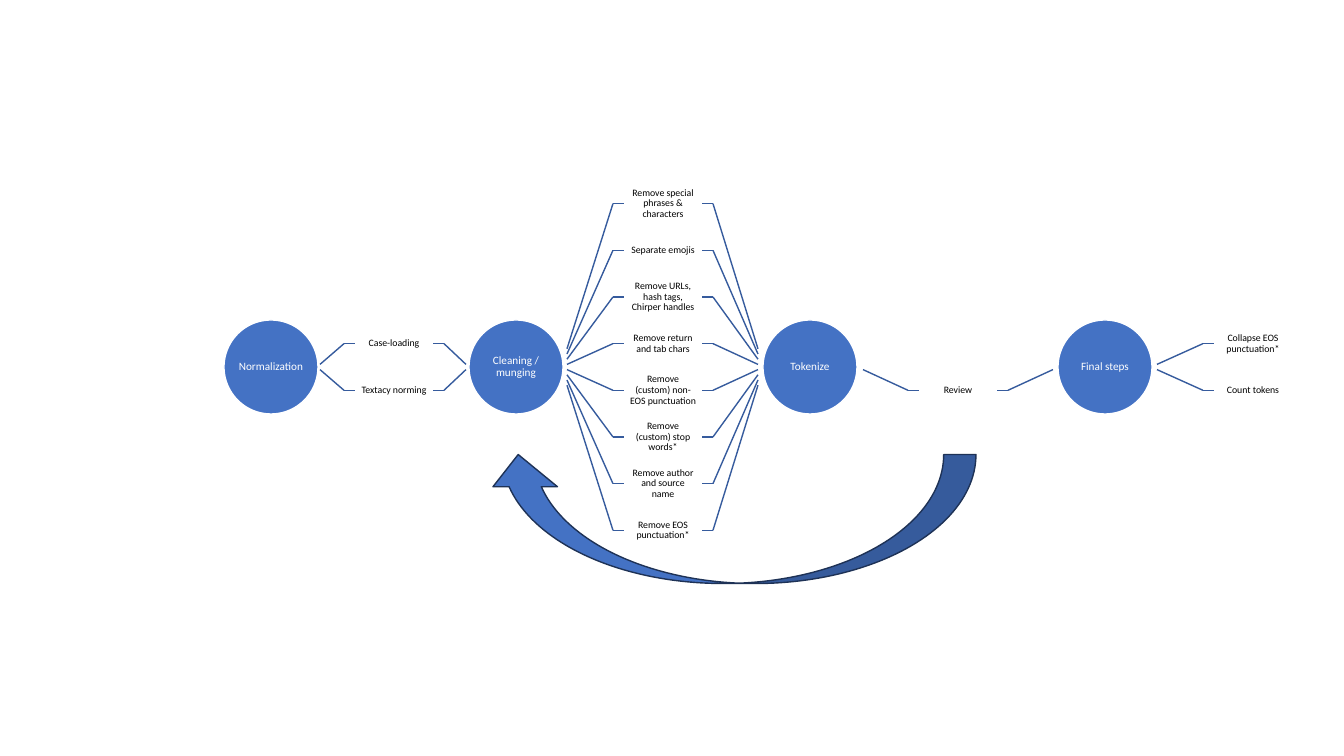
from pptx import Presentation
from pptx.dml.color import RGBColor
from pptx.enum.shapes import MSO_CONNECTOR, MSO_SHAPE
from pptx.enum.text import MSO_ANCHOR, PP_ALIGN
from pptx.oxml.ns import qn
from pptx.util import Pt
from lxml import etree

SCALE = 914400 / 100.8
STRAIGHT = MSO_CONNECTOR.STRAIGHT
CIRCLE = MSO_SHAPE.OVAL
LOOP_ARROW = MSO_SHAPE.CURVED_UP_ARROW
MIDDLE = MSO_ANCHOR.MIDDLE
CENTER = PP_ALIGN.CENTER

BLUE, SPOKE_BLUE, OUTLINE = "4472C4", "365B9D", "1E3256"
WHITE, BLACK = "FFFFFF", "000000"

AXIS_Y = 367
STAGE_SIZE = 94
LABEL_WIDTH, LABEL_HEIGHT = 78, 46
ROW_PITCH = 46.67
FAN_PITCH = 5.2
STUB = 11

STAGES = [(224, "Normalization"), (469, "Cleaning / munging"),
          (763, "Tokenize"), (1058, "Final steps")]

STEP_GROUPS = [
    (355, 320, 466, -0.5, ["Case-loading", "Textacy norming"]),
    (624, 567, 758, -3.5, [
        "Remove special phrases & characters",
        "Separate emojis",
        "Remove URLs, hash tags, Chirper handles",
        "Remove return and tab chars",
        "Remove (custom) non-EOS punctuation",
        "Remove (custom) stop words*",
        "Remove author and source name",
        "Remove EOS punctuation*",
    ]),
    (919, 863, 1053, 0.5, ["Review"]),
    (1214, 1157, None, -0.5, ["Collapse EOS punctuation*", "Count tokens"]),
]


def px(*lengths):
    return [round(length * SCALE) for length in lengths]


def color(hex_code):
    return RGBColor.from_string(hex_code)


def write_text(frame, text, size, hex_code, inset):
    frame.word_wrap = True
    frame.vertical_anchor = MIDDLE
    margin = px(inset)[0]
    frame.margin_left = frame.margin_right = margin
    frame.margin_top = frame.margin_bottom = margin
    paragraph = frame.paragraphs[0]
    paragraph.text = text
    paragraph.alignment = CENTER
    paragraph.line_spacing = 0.9
    paragraph.font.name = "Calibri"
    paragraph.font.size = Pt(size)
    paragraph.font.color.rgb = color(hex_code)


def add_filled(shapes, preset, box, outline):
    filled = shapes.add_shape(preset, *px(*box))
    filled.shadow.inherit = False
    filled.fill.solid()
    filled.fill.fore_color.rgb = color(BLUE)
    filled.line.color.rgb = color(outline)
    filled.line.width = Pt(1)
    return filled


def add_stage(shapes, left, name):
    box = (left, AXIS_Y - STAGE_SIZE / 2, STAGE_SIZE, STAGE_SIZE)
    stage = add_filled(shapes, CIRCLE, box, WHITE)
    write_text(stage.text_frame, name, 8, WHITE, 0)


def add_line(shapes, start, end):
    line = shapes.add_connector(STRAIGHT, *px(*start, *end))
    line.line.color.rgb = color(SPOKE_BLUE)
    line.line.width = Pt(1)
    etree.SubElement(line._element.spPr, qn("a:effectLst"))


def add_spoke(shapes, stage_x, elbow_x, label_x, slot):
    row_y = AXIS_Y + slot * ROW_PITCH
    add_line(shapes, (stage_x, AXIS_Y + slot * FAN_PITCH), (elbow_x, row_y))
    add_line(shapes, (elbow_x, row_y), (label_x, row_y))


def add_step(shapes, left, slot, text):
    top = AXIS_Y + slot * ROW_PITCH - LABEL_HEIGHT / 2
    label = shapes.add_textbox(*px(left, top, LABEL_WIDTH, LABEL_HEIGHT))
    write_text(label.text_frame, text, 7, BLACK, 5)


def add_step_group(shapes, left, source_x, target_x, first_slot, steps):
    right = left + LABEL_WIDTH
    for slot, text in enumerate(steps):
        slot += first_slot
        add_spoke(shapes, source_x, left - STUB, left, slot)
        add_step(shapes, left, slot, text)
        if target_x is not None:
            add_spoke(shapes, target_x, right + STUB, right, slot)


def add_review_loop(shapes):
    loop = add_filled(shapes, LOOP_ARROW, (486, 454.5, 490, 129), OUTLINE)
    loop._element.spPr.xfrm.set("flipH", "1")


def main():
    deck = Presentation()
    deck.slide_width, deck.slide_height = px(1344, 756)
    slide = deck.slides.add_slide(deck.slide_layouts[6])
    workflow = slide.shapes.add_group_shape().shapes
    for left, name in STAGES:
        add_stage(workflow, left, name)
    for step_group in STEP_GROUPS:
        add_step_group(workflow, *step_group)
    add_review_loop(slide.shapes)
    deck.save("out.pptx")


main()
